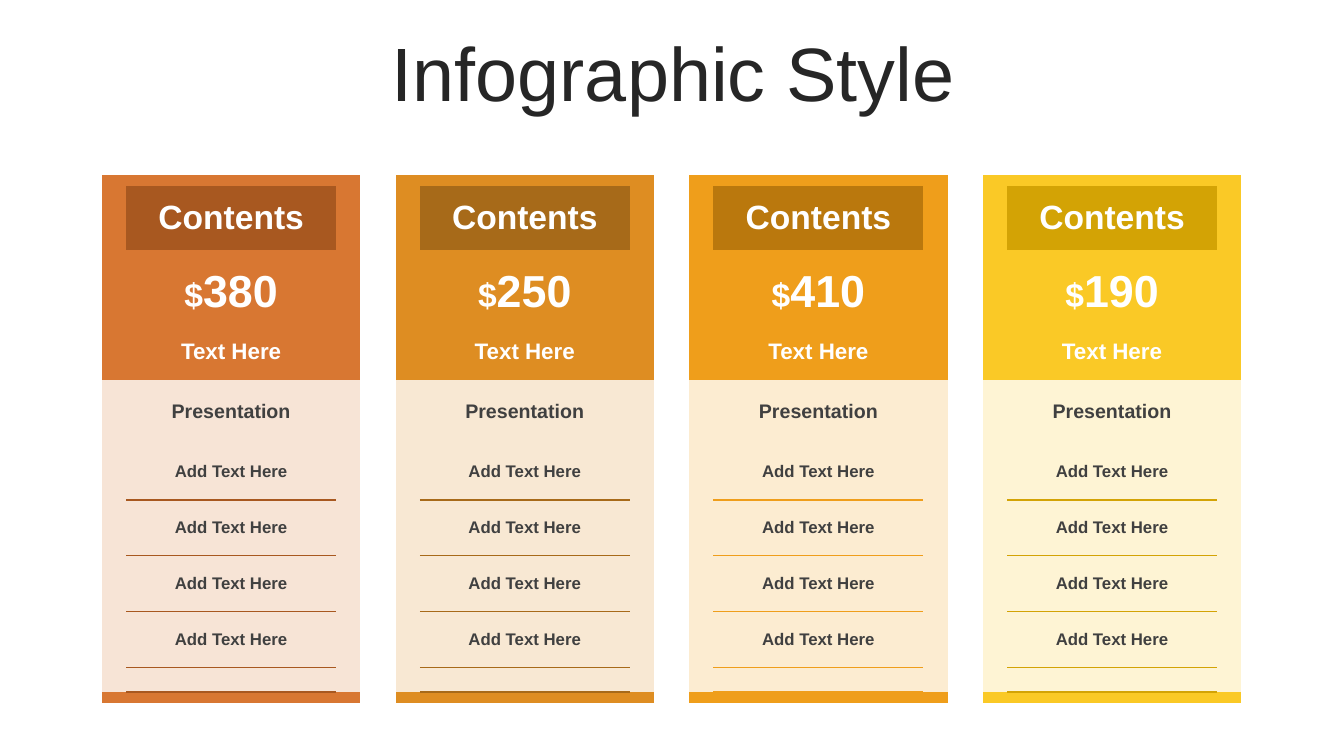
from dataclasses import dataclass

from lxml import etree
from pptx import Presentation
from pptx.dml.color import RGBColor
from pptx.enum.text import MSO_ANCHOR, MSO_AUTO_SIZE, PP_ALIGN
from pptx.oxml.ns import qn
from pptx.util import Cm, Pt

CENTER = PP_ALIGN.CENTER
MIDDLE = MSO_ANCHOR.MIDDLE
NO_AUTOFIT = MSO_AUTO_SIZE.NONE
TITLE_ONLY = 5
NO_TABLE_STYLE = "{2D5ABB26-0587-4C30-8999-92F81FD0307C}"


@dataclass(frozen=True)
class Theme:
    font: str = "Arial"
    title: str = "262626"
    light: str = "FFFFFF"
    dark: str = "404040"
    title_size: int = 54
    heading_size: int = 24
    price_size: int = 32
    caption_size: int = 16
    subheading_size: int = 14
    item_size: int = 12
    spacer_size: int = 1
    rule_width: float = 1.5
    # main, heading, body and rule colour of each plan
    plans: tuple = (
        ("D87732", "A85820", "F7E4D6", "A85820"),
        ("DE8D22", "A76A19", "F8E8D3", "A76A19"),
        ("EF9E1B", "BA780D", "FCECD1", "EF9E1B"),
        ("FAC926", "D3A305", "FEF4D4", "D3A305"),
    )


THEME = Theme()


def add_rule(cell, side, color):
    """Draw a border on one side of a cell: lnT or lnB."""
    line = etree.SubElement(cell._tc.get_or_add_tcPr(), qn(f"a:{side}"),
                            w=str(Pt(THEME.rule_width)))
    fill = etree.SubElement(line, qn("a:solidFill"))
    etree.SubElement(fill, qn("a:srgbClr"), val=color)


def style_paragraph(para, size, color):
    para.alignment = CENTER
    para.font.name = THEME.font
    para.font.size = Pt(size)
    para.font.color.rgb = RGBColor.from_string(color)


deck = Presentation()
deck.slide_width, deck.slide_height = Cm(33.87), Cm(19.05)
page = deck.slides.add_slide(deck.slide_layouts[TITLE_ONLY])

title = page.shapes.title
title.left, title.top, title.width, title.height = Cm(0.89), Cm(0.94), Cm(32.16), Cm(2.01)
frame = title.text_frame
frame.text = "Infographic Style"
frame.auto_size = NO_AUTOFIT
frame.vertical_anchor = MIDDLE
frame.paragraphs[0].line_spacing = 0.9
style_paragraph(frame.paragraphs[0], THEME.title_size, THEME.title)

TABLE_LEFT, TABLE_TOP, TABLE_PITCH = 2.57, 4.41, 7.4
COLUMN_WIDTHS = (0.61, 5.29, 0.61)
EDGE, TALL, NORMAL, FOOT = 0.28, 1.6, 1.41, 0.61
ROW_HEIGHTS = (EDGE, TALL, EDGE, TALL, NORMAL, TALL) + (NORMAL,) * 4 + (FOOT, EDGE)
HEADING_ROW = 1
BODY_ROWS = range(5, 11)
ITEM_ROWS = range(6, 10)
PRICES = ("380", "250", "410", "190")

for plan, (price, colors) in enumerate(zip(PRICES, THEME.plans)):
    main, heading, body, rule = colors
    table_frame = page.shapes.add_table(
        len(ROW_HEIGHTS), len(COLUMN_WIDTHS),
        Cm(TABLE_LEFT + plan * TABLE_PITCH), Cm(TABLE_TOP),
        Cm(sum(COLUMN_WIDTHS)), Cm(sum(ROW_HEIGHTS)))
    table = table_frame.table
    table.first_row = table.horz_banding = False
    table._tbl.tblPr.find(qn("a:tableStyleId")).text = NO_TABLE_STYLE
    for column, width in zip(table.columns, COLUMN_WIDTHS):
        column.width = Cm(width)

    # row: (text spans with their sizes, colour)
    content = {
        1: ([("Contents", THEME.heading_size)], THEME.light),
        3: ([("$", THEME.heading_size), (price, THEME.price_size)], THEME.light),
        4: ([("Text Here", THEME.caption_size)], THEME.light),
        5: ([("Presentation", THEME.subheading_size)], THEME.dark),
    }
    for item_row in ITEM_ROWS:
        content[item_row] = ([("Add Text Here", THEME.item_size)], THEME.dark)

    for row, height in enumerate(ROW_HEIGHTS):
        table.rows[row].height = Cm(height)
        for column in range(len(COLUMN_WIDTHS)):
            cell = table.cell(row, column)
            is_center = column == 1
            if is_center and row - 1 in ITEM_ROWS:
                add_rule(cell, "lnT", rule)
            if is_center and row in ITEM_ROWS:
                add_rule(cell, "lnB", rule)
            color = body if row in BODY_ROWS else main
            if is_center and row == HEADING_ROW:
                color = heading
            cell.fill.solid()
            cell.fill.fore_color.rgb = RGBColor.from_string(color)
            cell.vertical_anchor = MIDDLE

            para = cell.text_frame.paragraphs[0]
            if is_center and row in content:
                spans, text_color = content[row]
                style_paragraph(para, spans[0][1], text_color)
                para.font.bold = True
                for text, size in spans:
                    span = para.add_run()
                    span.text = text
                    if len(spans) > 1:
                        span.font.size = Pt(size)
            else:
                cell.margin_top = cell.margin_bottom = 0
                etree.SubElement(para._p, qn("a:endParaRPr"),
                                 sz=str(THEME.spacer_size * 100))

deck.save("out.pptx")
